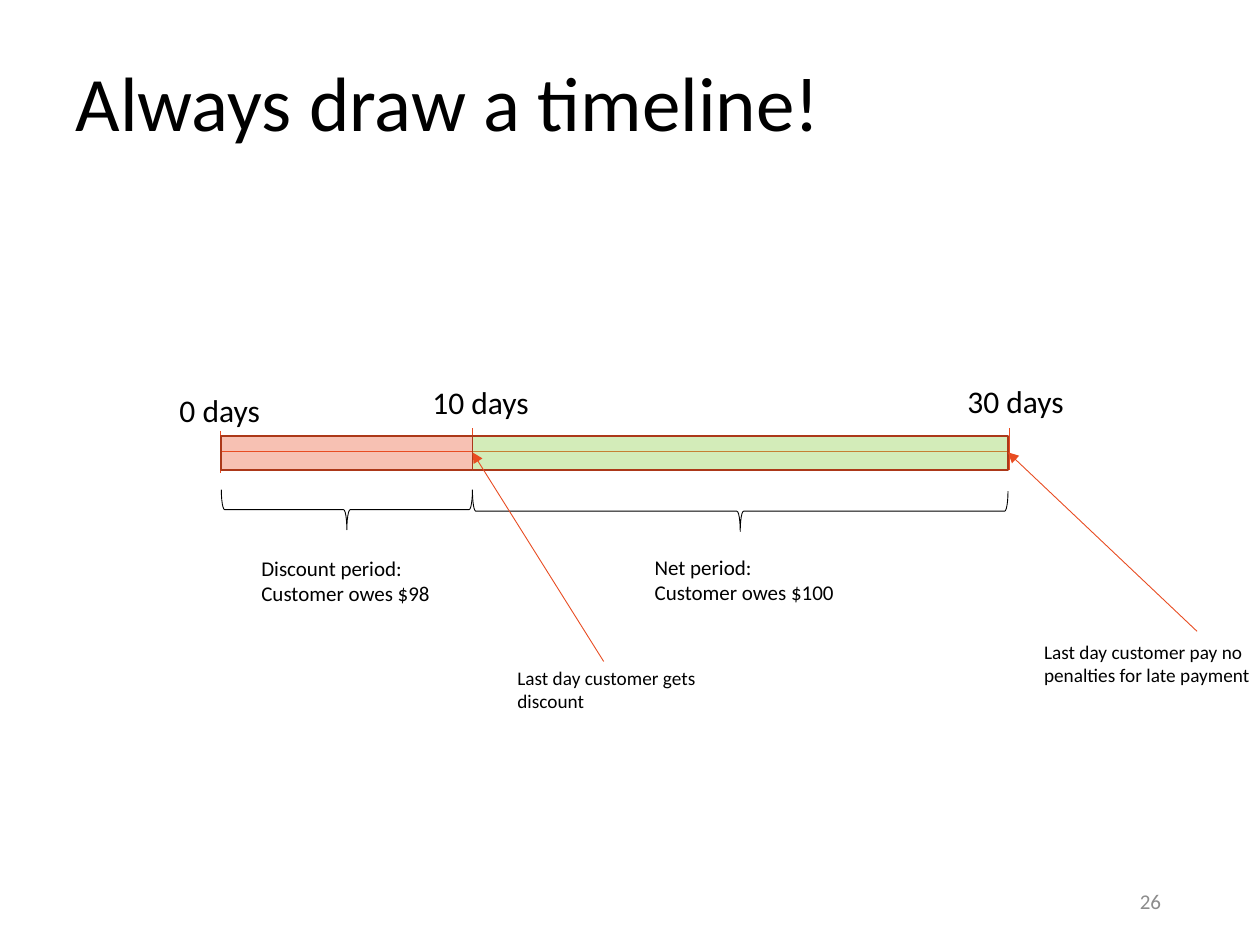
from pptx import Presentation
from pptx.dml.color import RGBColor
from pptx.enum.shapes import MSO_CONNECTOR, MSO_SHAPE
from pptx.enum.text import MSO_ANCHOR, PP_ALIGN
from pptx.oxml.ns import qn
from pptx.util import Pt
from lxml import etree

LINE = MSO_CONNECTOR.STRAIGHT
RECT = MSO_SHAPE.RECTANGLE
BRACE = MSO_SHAPE.LEFT_BRACE
LEFT, RIGHT = PP_ALIGN.LEFT, PP_ALIGN.RIGHT
TOP, MIDDLE = MSO_ANCHOR.TOP, MSO_ANCHOR.MIDDLE

COLORS = {
    "ink": "000000",
    "gray": "8C8C8C",
    "red": "E84C22",
    "edge": "AC3819",
    "green": "92D050",
}


class Deck:
    font = "Calibri"

    def __init__(self, width, height):
        self.deck = Presentation()
        self.deck.slide_width = Pt(width)
        self.deck.slide_height = Pt(height)
        self.slide = self.deck.slides.add_slide(self.deck.slide_layouts[5])
        self.shapes = self.slide.shapes

    def color(self, name):
        return RGBColor.from_string(COLORS[name])

    def style(self, frame, lines, size, color="ink", align=LEFT):
        frame.text = "\n".join(lines)
        for para in frame.paragraphs:
            para.alignment = align
            para.font.name = self.font
            para.font.size = Pt(size)
            para.font.color.rgb = self.color(color)

    def title(self, text, x, y, w, h):
        title = self.shapes.title
        title.left, title.top, title.width, title.height = map(Pt, (x, y, w, h))
        title.text_frame.vertical_anchor = MIDDLE
        self.style(title.text_frame, [text], 44)
        title.text_frame.paragraphs[0].line_spacing = 0.9

    def text(self, lines, x, y, w, h, size, wrap=False, color="ink",
             align=LEFT, anchor=TOP):
        box = self.shapes.add_textbox(Pt(x), Pt(y), Pt(w), Pt(h))
        box.text_frame.word_wrap = wrap
        box.text_frame.vertical_anchor = anchor
        self.style(box.text_frame, lines, size, color, align)

    def line(self, x1, y1, x2, y2, arrow=False):
        line = self.shapes.add_connector(LINE, Pt(x1), Pt(y1), Pt(x2), Pt(y2))
        line.line.color.rgb = self.color("red")
        line.line.width = Pt(0.5)
        props = line._element.spPr
        if arrow:
            tail = etree.SubElement(props.find(qn("a:ln")), qn("a:tailEnd"))
            tail.set("type", "triangle")
        etree.SubElement(props, qn("a:effectLst"))

    def bar(self, x, y, w, h, color, alpha):
        bar = self.shapes.add_shape(RECT, Pt(x), Pt(y), Pt(w), Pt(h))
        bar.shadow.inherit = False
        bar.fill.solid()
        bar.fill.fore_color.rgb = self.color(color)
        bar.line.color.rgb = self.color("edge")
        bar.line.width = Pt(1)
        tint = bar._element.spPr.find(qn("a:solidFill"))[0]
        etree.SubElement(tint, qn("a:alpha")).set("val", str(alpha * 1000))

    def brace(self, x, y, span, depth):
        left = x + (span - depth) / 2
        top = y + (depth - span) / 2
        brace = self.shapes.add_shape(BRACE, Pt(left), Pt(top), Pt(depth), Pt(span))
        brace.rotation = 270
        brace.shadow.inherit = False
        brace.fill.background()
        brace.line.color.rgb = self.color("ink")
        brace.line.width = Pt(0.5)


def main():
    page = Deck(720, 540)
    page.text(["26"], 508.5, 500.5, 162, 28.75, 12, True, "gray", RIGHT, MIDDLE)
    page.title("Always draw a timeline!", 36, 17.5, 648, 86.4)

    start, mid, end = 126.5, 270, 576
    page.line(126, 257.75, end, 257.75)
    for x, y in ((126, 246.25), (mid, 244.8), (576.7, 244.8)):
        page.line(x, y, x, y + 23.75)

    days = (
        ("0 days", 95.5, 219.75, 61),
        ("10 days", 240, 215.5, 70.5),
        ("30 days", 545.75, 214.5, 70.5),
    )
    for text, x, y, w in days:
        page.text([text], x, y, w, 29, 18)

    spans = (
        (start, mid, "red", 34, 279.7),
        (mid, end, "green", 40, 280.6),
    )
    for left, right, color, alpha, y in spans:
        page.bar(left, 249, right - left, 19.5, color, alpha)
        page.brace(left, y, right - left, 23)

    page.text(["Discount period:", "Customer owes $98"], 142.25, 314, 112, 36, 12)
    page.text(["Net period:", "Customer owes $100"], 367, 313.25, 118, 36, 12)

    notes = (
        ("Last day customer gets discount", 288.5, 377.25, 345, 378, mid),
        ("Last day customer pay no penalties for late payment",
         589.5, 362.25, 684, 360.75, end),
    )
    for text, x, y, tail, base, day in notes:
        page.line(tail, base, day, 258.5, True)
        page.text([text], x, y, 137.5, 34, 11, True)

    page.deck.save("out.pptx")


if __name__ == "__main__":
    main()
